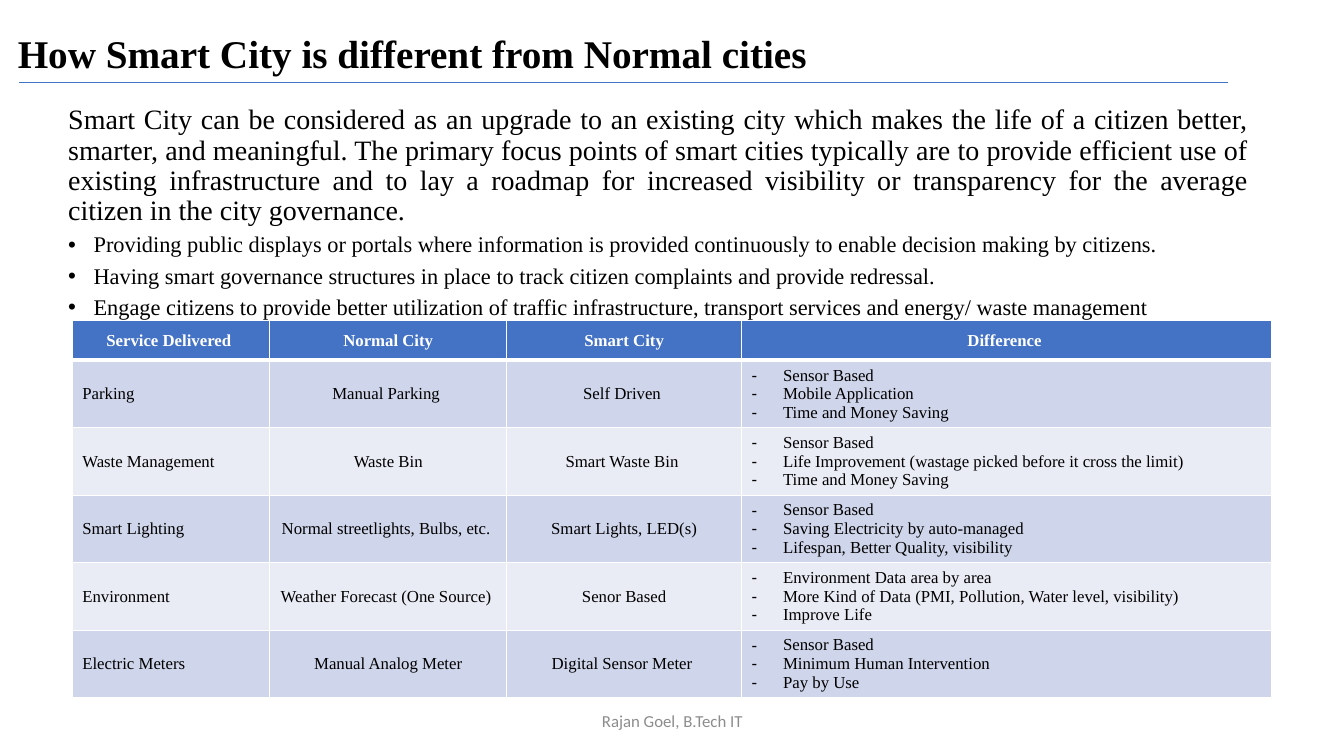
from dataclasses import dataclass

from lxml import etree
from pptx import Presentation
from pptx.dml.color import RGBColor
from pptx.enum.shapes import MSO_CONNECTOR
from pptx.enum.text import MSO_ANCHOR, PP_ALIGN
from pptx.oxml.ns import qn
from pptx.util import Cm, Pt

LEFT, CENTER, JUSTIFY = PP_ALIGN.LEFT, PP_ALIGN.CENTER, PP_ALIGN.JUSTIFY
TOP, MIDDLE, BOTTOM = MSO_ANCHOR.TOP, MSO_ANCHOR.MIDDLE, MSO_ANCHOR.BOTTOM
STRAIGHT = MSO_CONNECTOR.STRAIGHT


@dataclass(frozen=True)
class Theme:
    serif: str = "Times New Roman"
    sans: str = "Calibri"
    ink: str = "000000"
    white: str = "FFFFFF"
    gray: str = "8C8C8C"
    blue: str = "4472C4"
    bands: tuple = ("CFD5EA", "E9EBF5")
    title: int = 28
    lead: int = 20
    point: int = 16
    small: int = 12


THEME = Theme()

TITLE = "How Smart City is different from Normal cities"
LEAD = (
    "Smart City can be considered as an upgrade to an existing city which makes "
    "the life of a citizen better, smarter, and meaningful. The primary focus points "
    "of smart cities typically are to provide efficient use of existing infrastructure "
    "and to lay a roadmap for increased visibility or transparency for the average "
    "citizen in the city governance."
)
POINTS = [
    "Providing public displays or portals where information is provided "
    "continuously to enable decision making by citizens.",
    "Having smart governance structures in place to track citizen complaints "
    "and provide redressal.",
    "Engage citizens to provide better utilization of traffic infrastructure, "
    "transport services and energy/ waste management",
]
HEADS = ["Service Delivered ", "Normal City", "Smart City", "Difference "]
ROWS = [
    ("Parking", "Manual Parking ", "Self Driven ",
     ["Sensor Based", "Mobile Application", "Time and Money Saving"]),
    ("Waste Management", "Waste Bin", "Smart Waste Bin ",
     ["Sensor Based", "Life Improvement (wastage picked before it cross the limit)",
      "Time and Money Saving"]),
    ("Smart Lighting", "Normal streetlights, Bulbs, etc. ", "Smart Lights, LED(s)",
     ["Sensor Based", "Saving Electricity by auto-managed",
      "Lifespan, Better Quality, visibility"]),
    ("Environment", "Weather Forecast (One Source) ", "Senor Based",
     ["Environment Data area by area",
      "More Kind of Data (PMI, Pollution, Water level, visibility)", "Improve Life"]),
    ("Electric Meters", "Manual Analog Meter", "Digital Sensor Meter ",
     ["Sensor Based", "Minimum Human Intervention", "Pay by Use"]),
]
WIDTHS = [4.98, 5.97, 5.92, 13.36]
HEAD_H, ROW_H = 1.0, 1.7


def write(frame, lines, size=THEME.small, font=THEME.serif, color=THEME.ink,
          bold=False, align=LEFT, space=1.0, before=0, mark=None, indent=0, add=False):
    for i, line in enumerate(lines):
        para = frame.add_paragraph() if add or i else frame.paragraphs[0]
        para.alignment = align
        para.line_spacing = space
        para.space_before = Pt(before)
        run = para.add_run()
        run.text = line
        run.font.name = font
        run.font.size = Pt(size)
        run.font.bold = bold
        run.font.color.rgb = RGBColor.from_string(color)
        if mark:
            props = para._p.get_or_add_pPr()
            props.set("marL", str(Cm(indent)))
            props.set("indent", str(-Cm(indent)))
            etree.SubElement(props, qn("a:buFont"), typeface="Arial")
            etree.SubElement(props, qn("a:buChar"), char=mark)


def frame_at(slide, box, anchor=TOP):
    frame = slide.shapes.add_textbox(*map(Cm, box)).text_frame
    frame.word_wrap = True
    frame.vertical_anchor = anchor
    return frame


def draw_head(slide, box):
    x, y, w, h = box
    frame = frame_at(slide, box, BOTTOM)
    frame.margin_bottom = 0
    write(frame, [TITLE], size=THEME.title, bold=True, space=0.9)
    rule_y = Cm(y + h + 0.13)
    rule = slide.shapes.add_connector(
        STRAIGHT, Cm(x + 0.28), rule_y, Cm(x + w + 1.53), rule_y)
    rule.line.color.rgb = RGBColor.from_string(THEME.blue)
    rule.line.width = Pt(0.5)
    etree.SubElement(rule._element.spPr, qn("a:effectLst"))


def draw_body(slide, box):
    frame = frame_at(slide, box)
    write(frame, [LEAD], size=THEME.lead, align=JUSTIFY, space=0.9)
    write(frame, POINTS, size=THEME.point, align=JUSTIFY, space=0.9,
          before=5, mark="•", indent=0.64, add=True)


def style(cell, fill, base):
    props = cell._tc.get_or_add_tcPr()
    for side, width in (("L", 1), ("R", 1), ("T", 1), ("B", base)):
        edge = etree.SubElement(props, qn(f"a:ln{side}"), w=str(Pt(width)))
        solid = etree.SubElement(edge, qn("a:solidFill"))
        etree.SubElement(solid, qn("a:srgbClr"), val=THEME.white)
    cell.fill.solid()
    cell.fill.fore_color.rgb = RGBColor.from_string(fill)
    cell.vertical_anchor = MIDDLE
    cell.margin_top = cell.margin_bottom = Cm(0.06)


def draw_table(slide, box):
    table = slide.shapes.add_table(len(ROWS) + 1, len(HEADS), *map(Cm, box)).table
    for col, width in zip(table.columns, WIDTHS):
        col.width = Cm(width)
    for i, row in enumerate(table.rows):
        row.height = Cm(ROW_H if i else HEAD_H)
    for c, head in enumerate(HEADS):
        cell = table.cell(0, c)
        style(cell, THEME.blue, 3)
        write(cell.text_frame, [head], color=THEME.white, bold=True, align=CENTER)
    for r, (name, old, new, gains) in enumerate(ROWS):
        parts = [
            ([name], {}),
            ([old], {"align": CENTER}),
            ([new], {"align": CENTER}),
            (gains, {"mark": "-", "indent": 0.79}),
        ]
        for c, (lines, look) in enumerate(parts):
            cell = table.cell(r + 1, c)
            style(cell, THEME.bands[r % 2], 1)
            write(cell.text_frame, lines, **look)


def draw_foot(slide, box):
    write(frame_at(slide, box, MIDDLE), ["Rajan Goel, B.Tech IT"],
          font=THEME.sans, color=THEME.gray, align=CENTER)


def main():
    deck = Presentation()
    deck.slide_width, deck.slide_height = Cm(33.87), Cm(19.05)
    slide = deck.slides.add_slide(deck.slide_layouts[6])
    draw_head(slide, (0.2, 0.1, 29.21, 1.85))
    draw_body(slide, (1.47, 2.54, 30.25, 5.5))
    draw_table(slide, (1.82, 8.08, sum(WIDTHS), HEAD_H + ROW_H * len(ROWS)))
    draw_foot(slide, (11.23, 17.65, 11.43, 1.02))
    deck.save("out.pptx")


if __name__ == "__main__":
    main()
